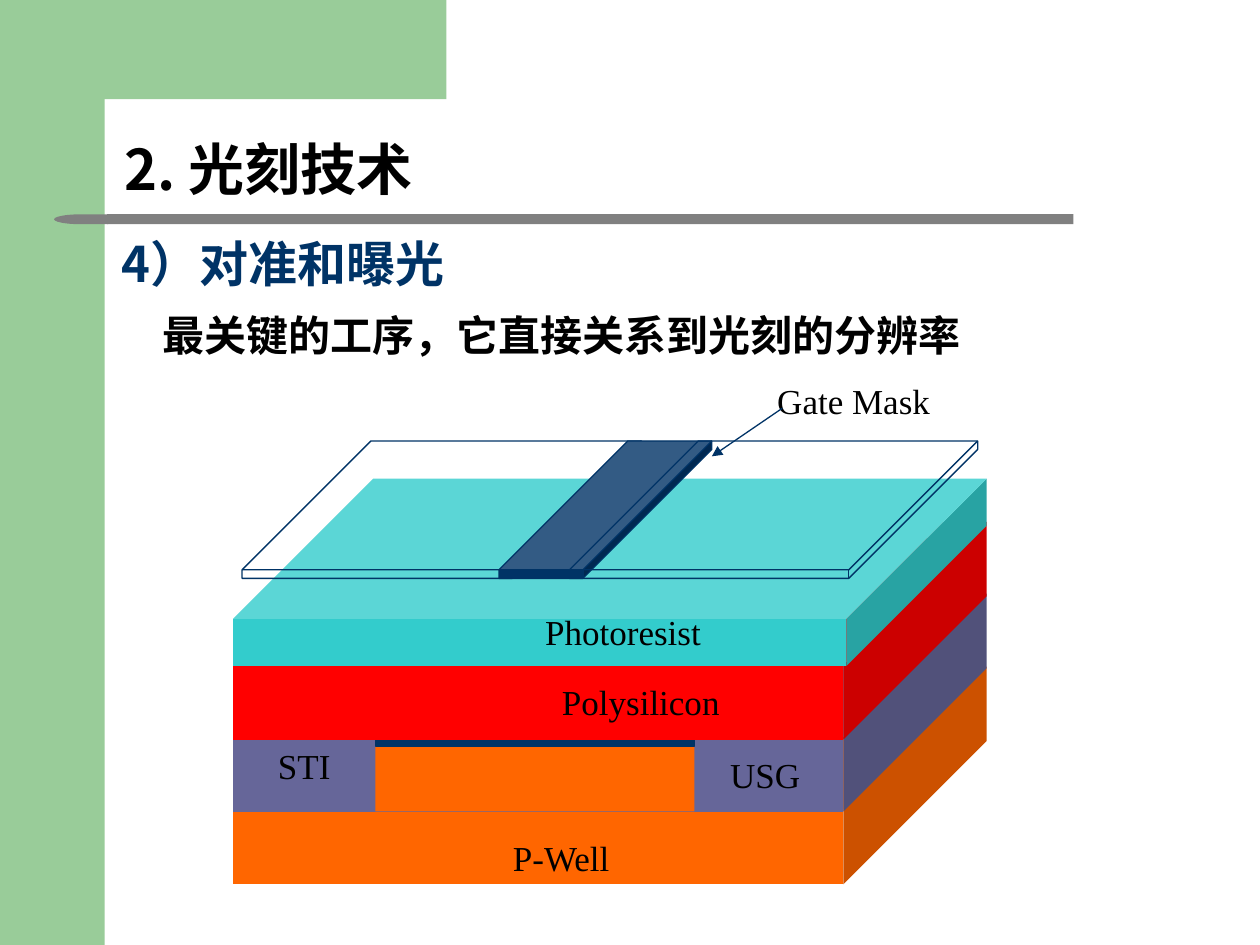
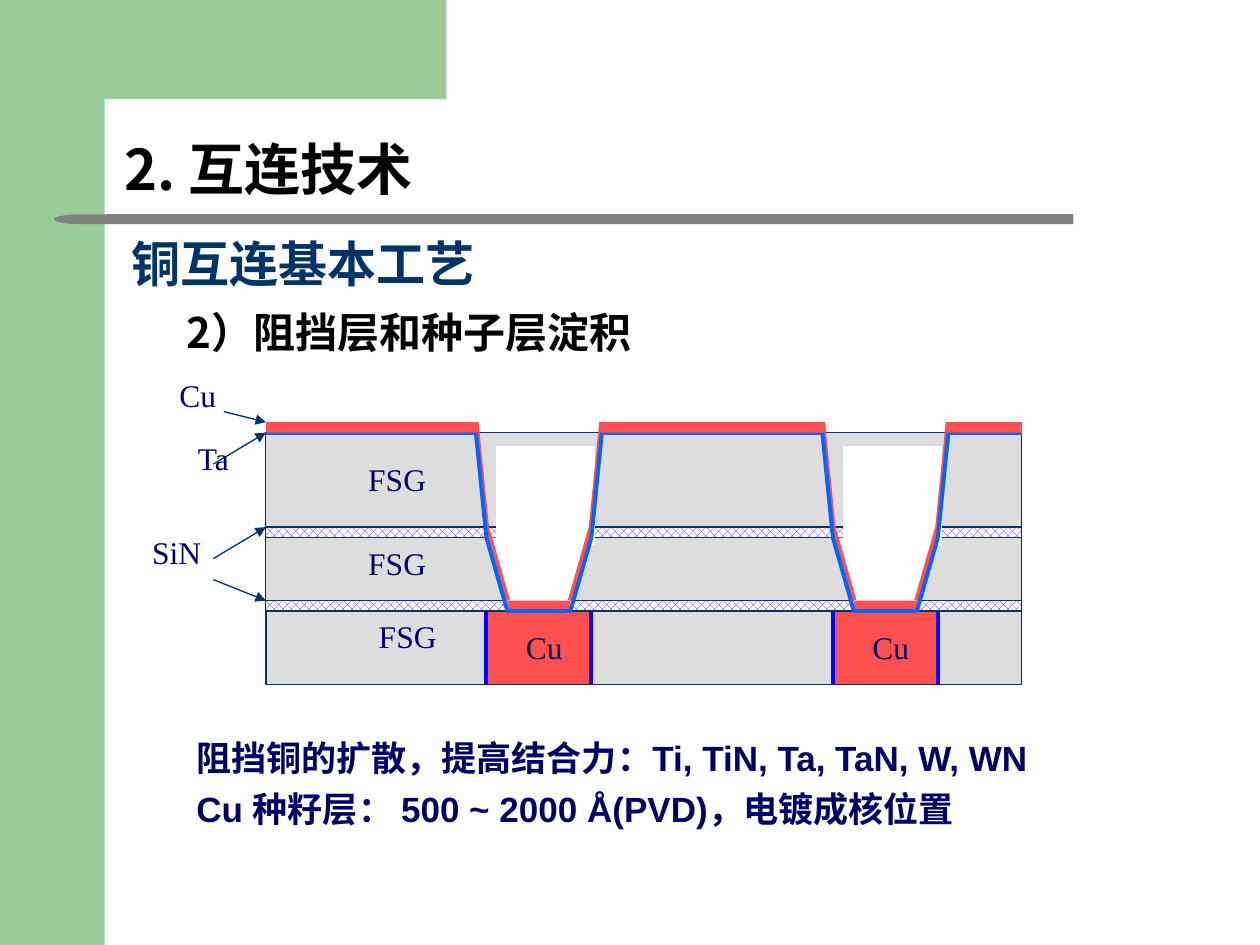
import math

import lxml.etree
import pptx
import pptx.dml.color
import pptx.enum.dml
import pptx.enum.shapes
import pptx.enum.text
import pptx.oxml.ns
import pptx.util

Cm, Pt = pptx.util.Cm, pptx.util.Pt
SHAPE = pptx.enum.shapes.MSO_SHAPE
ALIGN = pptx.enum.text.PP_ALIGN
ANCHOR = pptx.enum.text.MSO_ANCHOR
qn = pptx.oxml.ns.qn

COLORS = {
    "band": "99CC99", "rule": "808080", "navy": "003366", "ink": "000066",
    "black": "000000", "white": "FFFFFF", "well": "FF6600", "oxide": "666699",
    "shade": "333333", "poly": "FF0000", "resist": "33CCCC", "glass": "DDDDDD",
    "nitride": "6600FF", "copper": "FF5050", "barrier": "0066FF", "wall": "0000FF",
}
CJK, SERIF = "Noto Sans CJK SC", "Times New Roman"


def color(name):
    return pptx.dml.color.RGBColor.from_string(COLORS[name])


# ---- Drawing helpers: every length is in centimetres ----
def paint(shape, fill, line=None):
    shape.shadow.inherit = False
    if fill:
        shape.fill.solid()
        shape.fill.fore_color.rgb = color(fill)
    else:
        shape.fill.background()
    if line:
        shape.line.color.rgb = color(line)
        shape.line.width = Pt(0.75)
    else:
        shape.line.fill.background()
    return shape


def add_block(page, kind, box, fill, line=None, adjust=None):
    shape = page.shapes.add_shape(kind, *map(Cm, box))
    if adjust is not None:
        shape.adjustments[0] = adjust
    return paint(shape, fill, line)


def add_outline(page, points, fill):
    builder = page.shapes.build_freeform(*points[0], scale=float(Cm(1)))
    builder.add_line_segments(points[1:], close=True)
    return paint(builder.convert_to_shape(), fill)


def add_line(page, start, end, line, width=0.75, arrow=False):
    connector = page.shapes.add_connector(
        pptx.enum.shapes.MSO_CONNECTOR.STRAIGHT, *map(Cm, (*start, *end)))
    connector.line.color.rgb = color(line)
    connector.line.width = Pt(width)
    properties = connector.element.spPr
    if arrow:
        outline = properties.find(qn("a:ln"))
        lxml.etree.SubElement(outline, qn("a:tailEnd"), type="triangle")
    lxml.etree.SubElement(properties, qn("a:effectLst"))


def style(para, size, ink, font, bold=False, align=ALIGN.LEFT):
    para.alignment = align
    para.font.size = Pt(size)
    para.font.bold = bold
    para.font.color.rgb = color(ink)
    para.font.name = font
    defaults = para._p.pPr.find(qn("a:defRPr"))
    lxml.etree.SubElement(defaults, qn("a:ea"), typeface=CJK)


def add_text(page, box, lines, size, ink, font, bold=False, align=ALIGN.LEFT):
    frame = page.shapes.add_textbox(*map(Cm, box)).text_frame
    frame.word_wrap = True
    frame.text = "\n".join(lines)
    for para in frame.paragraphs:
        style(para, size, ink, font, bold, align)
    return frame


def fill_placeholder(holder, box, text, size, ink):
    holder.left, holder.top, holder.width, holder.height = map(Cm, box)
    frame = holder.text_frame
    frame.auto_size = pptx.enum.text.MSO_AUTO_SIZE.NONE
    frame.vertical_anchor = ANCHOR.BOTTOM
    frame.text = text
    para = frame.paragraphs[0]
    para.line_spacing = 0.9
    para.space_before = Pt(0)
    properties = para._p.get_or_add_pPr()
    properties.set("marL", "0")
    properties.set("indent", "0")
    lxml.etree.SubElement(properties, qn("a:buNone"))
    style(para, size, ink, CJK, True)


# ---- Shared frame, kept on the layout ----
def move_frame_to_layout(page, layout):
    radius, center = 0.84, 2.95
    turns = [math.radians(90 * step / 8) for step in range(9)]
    corner = [(center - radius * math.sin(turn), center - radius * math.cos(turn))
              for turn in turns]
    parts = [
        add_block(page, SHAPE.RECTANGLE, (0, 0, 2.11, 19.05), "band"),
        add_outline(page, [(1.27, 0), (8.89, 0), (8.89, 2.11), *corner,
                           (2.11, 3.25), (1.27, 3.25)], "band"),
        add_block(page, SHAPE.RECTANGLE, (2.16, 4.32, 19.48, 0.2), "rule"),
        add_block(page, SHAPE.FLOWCHART_DELAY, (1.09, 4.32, 1.09, 0.2), "rule"),
    ]
    parts[-1].rotation = 180
    for index, part in enumerate(parts):
        part.element.nvSpPr.cNvPr.set("id", str(20 + index))
        layout.shapes.element.insert(2 + index, part.element)


def add_headings(page, title, heading, heading_left):
    fill_placeholder(page.shapes.title, (2.25, 2.13, 9, 2.08), title, 32, "black")
    fill_placeholder(page.placeholders[1], (heading_left, 4.72, 11.5, 1.32),
                     heading, 28, "navy")


# ---- Slide 1: layer stack under the gate mask ----
def draw_wafer_stack(page, left, top):
    def block(kind, x, y, width, height, fill, adjust=None, line=None):
        add_block(page, kind, (left + x, top + y, width, height), fill, line, adjust)

    def label(text, x, y, width):
        add_text(page, (left + x, top + y, width, 0.86), [text], 20, "black",
                 SERIF, align=ALIGN.CENTER)

    # Well, isolation and gate oxide
    block(SHAPE.CUBE, 0, 5.92, 15.19, 4.39, "well", 0.658)
    block(SHAPE.CUBE, 0, 4.45, 15.19, 4.39, "oxide", 0.658)
    block(SHAPE.PARALLELOGRAM, 2.87, 5.92, 8.05, 1.47, "well", 0.98)
    block(SHAPE.RECTANGLE, 2.87, 7.37, 6.43, 1.47, "well")
    block(SHAPE.PARALLELOGRAM, 2.87, 5.92, 8.05, 1.47, "shade", 0.98)
    block(SHAPE.RECTANGLE, 2.87, 7.37, 6.43, 0.15, "navy", line="navy")

    # Polysilicon and photoresist
    block(SHAPE.CUBE, 0, 3, 15.19, 4.39, "poly", 0.658)
    block(SHAPE.CUBE, 0, 2.13, 15.19, 3.78, "resist", 0.748)

    # Mask plate: clear, opaque, clear
    for x, width, fill in ((0.18, 8.05, None), (5.36, 4.29, "navy"), (6.78, 8.23, None)):
        block(SHAPE.CUBE, x, 1.37, width, 2.77, fill, 0.938, "navy")

    label("P-Well", 4.47, 9.22, 4.29)
    label("USG", 9.47, 7.54, 2.51)
    label("STI", 0.18, 7.37, 2.51)
    label("Polysilicon", 4.65, 6.07, 7.14)
    label("Photoresist", 4.29, 4.67, 7.14)
    label("Gate Mask", 9.83, 0, 5.36)
    add_line(page, (left + 11.07, top + 0.71), (left + 9.65, top + 1.68), "navy", arrow=True)


# ---- Slide 2: copper trenches on a 72-column grid ----
def draw_trench_section(page, left, top, width):
    unit = width / 72

    def at(x, y):
        return left + x * unit, top + y * unit

    def block(x, y, columns, rows, fill, line=None, kind=SHAPE.RECTANGLE):
        box = (*at(x, y), columns * unit, rows * unit)
        return add_block(page, kind, box, fill, line)

    def trace(points, line, weight):
        for start, end in zip(points, points[1:]):
            add_line(page, at(*start), at(*end), line, weight)

    def trench(x):
        rim = [(x, 1), (x + 1, 11), (x + 11, 11), (x + 12, 1)]
        add_outline(page, [at(*point) for point in rim], "white")
        block(x + 1, 11, 10, 7, "white", kind=SHAPE.FLOWCHART_MANUAL_OPERATION)
        block(x + 3, 17, 6, 1, "copper")
        for seed in ((0, 1, 3), (12, 11, 9)):
            trace([(x + dx, y) for dx, y in zip(seed, (0, 10, 17))], "copper", 3)
        liner = zip((0, 1, 3, 9, 11, 12), (1, 11, 18, 18, 11, 1))
        trace([(x + dx, y) for dx, y in liner], "barrier", 2.25)

    # Dielectric with two nitride stops
    block(0, 1, 72, 16, "glass", "navy")
    for y in (10, 17):
        stop = block(0, y, 72, 1, "white", "navy")
        stop.fill.patterned()
        stop.fill.pattern = pptx.enum.dml.MSO_PATTERN.PERCENT_50
        stop.fill.fore_color.rgb = color("nitride")
        stop.fill.back_color.rgb = color("white")

    # Lower metal layer
    block(21, 18, 43, 7, "copper", "navy")
    for x, columns in ((0, 21), (31, 23), (64, 8)):
        block(x, 18, columns, 7, "glass", "navy")
    for x in (21, 31, 54, 64):
        trace([(x, 25), (x, 18)], "wall", 2.25)

    # Barrier and seed on the flat tops, then the trenches
    tops = ((0, 20), (32, 21), (65, 7))
    for x, columns in tops:
        trace([(x, 1), (x + columns, 1)], "barrier", 2.25)
    for x in (20, 53):
        trench(x)
    for x, columns in tops:
        block(x, 0, columns, 1, "copper")

    # Labels and pointers
    for start, end in (((-4, -1), (0, 0)), ((-5, 4), (0, 1)),
                       ((-5, 13), (0, 10)), ((-5, 15), (0, 17))):
        add_line(page, at(*start), at(*end), "navy", arrow=True)
    for text, x, y, columns in (
            ("Cu", -11, -5, 9), ("Ta", -11, 1, 12), ("SiN", -13, 10, 9),
            ("FSG", 1, 3, 23), ("FSG", 1, 11, 23), ("FSG", 3, 18, 21),
            ("Cu", 22, 19, 9), ("Cu", 55, 19, 9)):
        add_text(page, (*at(x, y), columns * unit, 1.02), [text], 18, "ink",
                 SERIF, align=ALIGN.CENTER)


def build_exposure_slide(page):
    add_headings(page, "2. 光刻技术", "4）对准和曝光", 2.2)
    add_text(page, (2.9, 6.12, 16.84, 1.27), ["最关键的工序，它直接关系到光刻的分辨率"],
             24, "black", CJK, True, ALIGN.CENTER)
    draw_wafer_stack(page, 4.7, 7.52)


def build_interconnect_slide(page):
    add_headings(page, "2. 互连技术", "铜互连基本工艺", 2.4)
    step = add_text(page, (3.51, 6.17, 14.3, 1.17), ["2）阻挡层和种子层淀积"],
                    24, "black", CJK, True)
    step.paragraphs[0].line_spacing = 0.9
    draw_trench_section(page, 5.36, 8.51, 15.24)
    notes = add_text(page, (3.71, 14.73, 17.45, 3.68),
                     ["阻挡铜的扩散，提高结合力：Ti, TiN, Ta, TaN, W, WN",
                      "Cu 种籽层： 500 ~ 2000 Å(PVD)，电镀成核位置"],
                     20, "ink", "Arial", True)
    notes.paragraphs[1].space_before = Pt(5)


def main():
    deck = pptx.Presentation()
    deck.slide_width, deck.slide_height = Cm(25.4), Cm(19.05)
    layout = deck.slide_layouts[1]
    pages = [deck.slides.add_slide(layout) for _ in range(2)]
    move_frame_to_layout(pages[0], layout)
    build_exposure_slide(pages[0])
    build_interconnect_slide(pages[1])
    deck.save("out.pptx")


if __name__ == "__main__":
    main()
